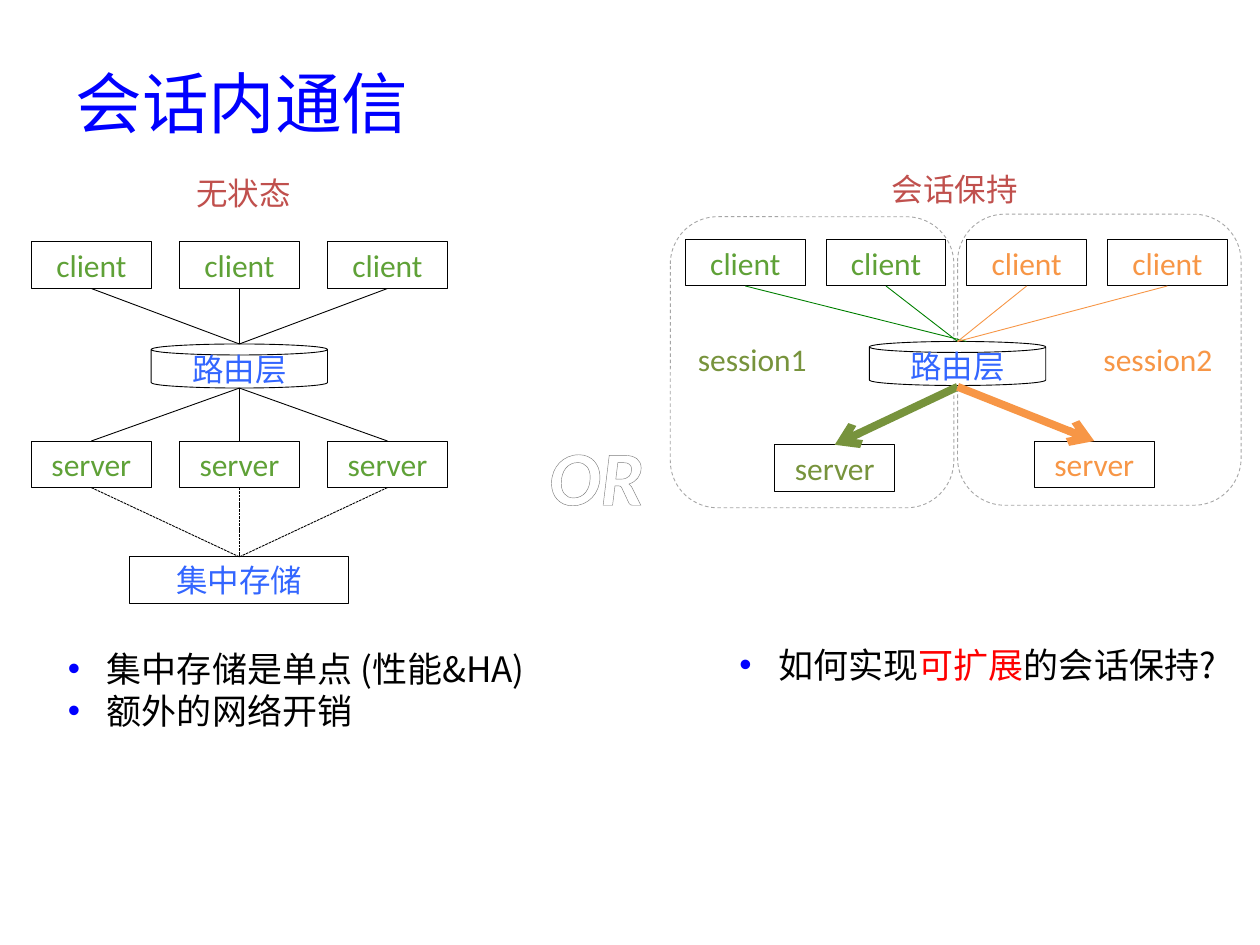
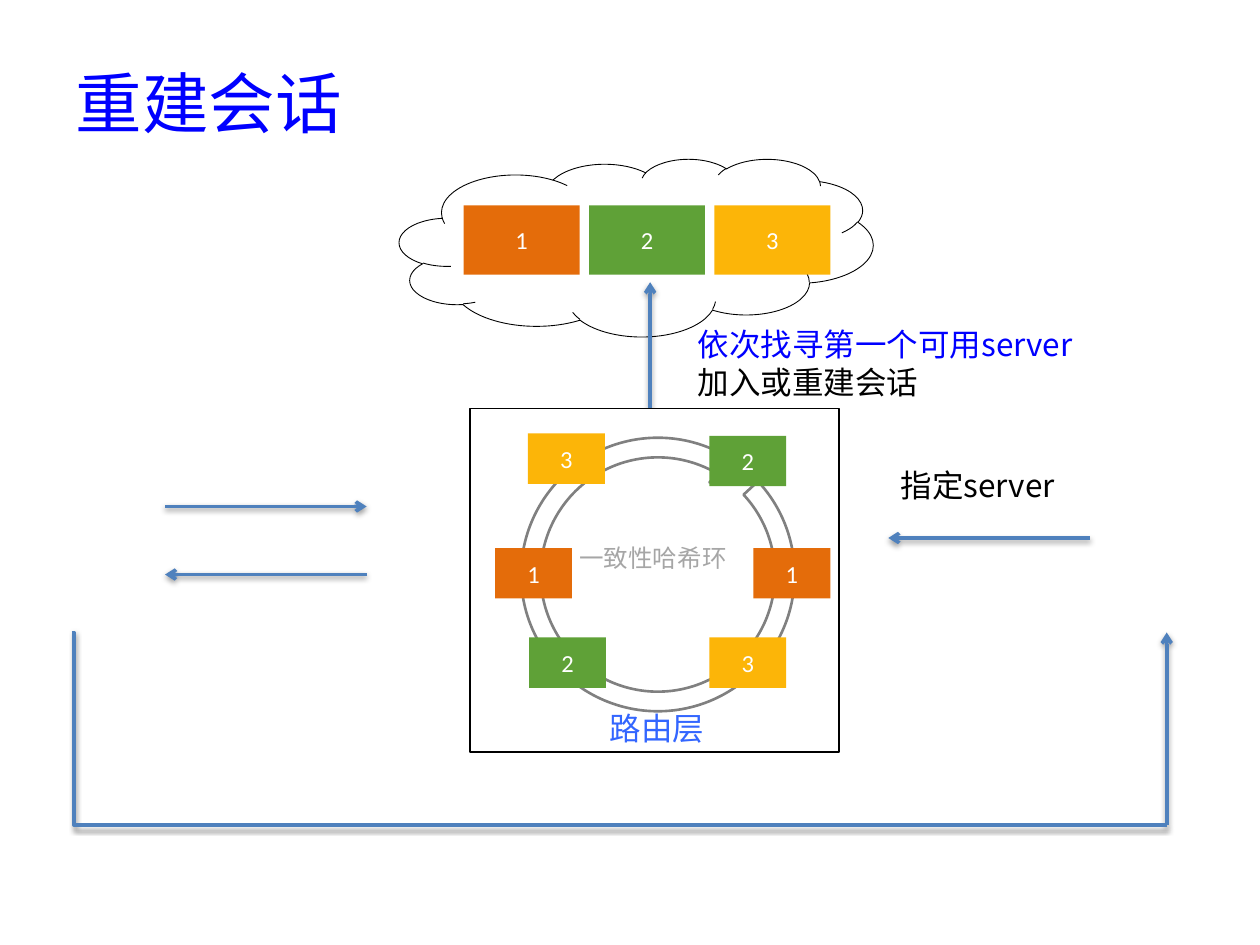
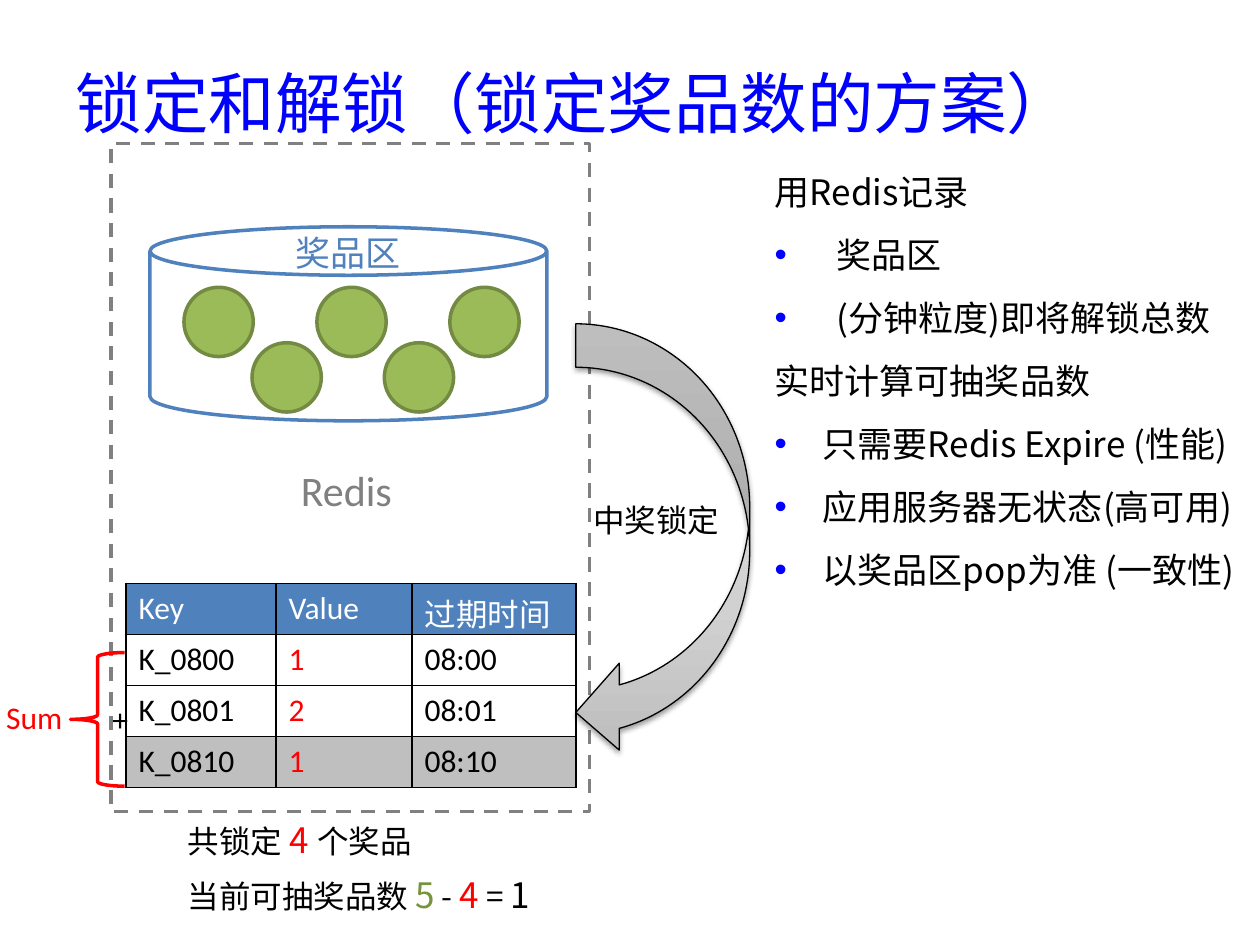
from dataclasses import dataclass

from pptx import Presentation
from pptx.dml.color import RGBColor
from pptx.enum.dml import MSO_LINE
from pptx.enum.shapes import MSO_CONNECTOR, MSO_SHAPE
from pptx.enum.text import MSO_ANCHOR, MSO_AUTO_SIZE, PP_ALIGN
from pptx.oxml import parse_xml
from pptx.oxml.ns import nsdecls, qn
from pptx.util import Emu, Pt

DASH, FINE_DASH = MSO_LINE.DASH, MSO_LINE.SQUARE_DOT
STRAIGHT, ELBOW = MSO_CONNECTOR.STRAIGHT, MSO_CONNECTOR.ELBOW
RECT, ROUNDED, CAN, CLOUD = (MSO_SHAPE.RECTANGLE, MSO_SHAPE.ROUNDED_RECTANGLE,
                             MSO_SHAPE.CAN, MSO_SHAPE.CLOUD)
OVAL, BRACE = MSO_SHAPE.OVAL, MSO_SHAPE.LEFT_BRACE
RING_ARROW, CURVED_ARROW = MSO_SHAPE.CIRCULAR_ARROW, MSO_SHAPE.CURVED_LEFT_ARROW
LEFT, CENTER = PP_ALIGN.LEFT, PP_ALIGN.CENTER
MIDDLE, TOP = MSO_ANCHOR.MIDDLE, MSO_ANCHOR.TOP
FIT_SHAPE, NO_FIT = MSO_AUTO_SIZE.SHAPE_TO_FIT_TEXT, MSO_AUTO_SIZE.NONE
BOTTOM_SITE, TOP_SITE = 2, 0
TITLE_ONLY = 5
EMU_PER_PX = 9144  # 100 px to the inch


@dataclass(frozen=True)
class Theme:
    latin: str = "Calibri"
    chinese: str = "Noto Sans CJK SC"
    title_size: int = 38
    mark_size: int = 44
    store_size: int = 24
    list_size: int = 20
    label_size: int = 18
    small_size: int = 14
    blue: str = "0000FF"
    layer: str = "3366FF"
    steel: str = "4F81BD"
    green: str = "5FA137"
    olive: str = "77933C"
    wire_green: str = "008000"
    orange: str = "F79646"
    deep_orange: str = "E46C0A"
    amber: str = "FCB508"
    brick: str = "C0504D"
    red: str = "FF0000"
    black: str = "000000"
    white: str = "FFFFFF"
    gray: str = "808080"
    pale_gray: str = "A6A6A6"
    row_gray: str = "BFBFBF"
    mark_edge: str = "7D7D7D"
    ball: str = "9BBB59"
    ball_edge: str = "738A42"


THEME = Theme()

# ---- Content ----
STORAGE_NOTES = ["集中存储是单点 (性能&HA)", "额外的网络开销"]
SESSION_NOTE = [["如何实现", ("可扩展", THEME.red), "的会话保持?"]]
# client colour, wire colour, x where the wire meets the routing layer
SESSION_CLIENTS = [(THEME.green, THEME.wire_green, 767),
                   (THEME.green, THEME.wire_green, 760),
                   (THEME.orange, THEME.orange, 760),
                   (THEME.orange, THEME.orange, 760)]
SESSIONS = [  # frame, server position, label, label left, colour
    ((532, 172), (615, 353), "session1", 544, THEME.olive),
    ((760, 170), (821, 350), "session2", 866, THEME.orange)]

NODE_COLORS = {"1": THEME.deep_orange, "2": THEME.green, "3": THEME.amber}
RING_NODES = [("2", 563, 346), ("1", 393, 435), ("3", 563, 506),
              ("1", 598, 435), ("2", 420, 506), ("3", 419, 344)]
FLOW_ARROWS = [((131, 402), (291, 402)), ((516, 370), (516, 224)),
               ((291, 456), (131, 456)), ((865, 427), (705, 427)),
               ((926, 655), (926, 502))]
FIND_STEPS = [[("依次找寻第一个可用server", THEME.blue)], "加入或重建会话"]

PLAN = [("用Redis记录", 0), ("奖品区", 49), ("(分钟粒度)即将解锁总数", 49),
        ("实时计算可抽奖品数", 0), ("只需要Redis Expire (性能)", 38),
        ("应用服务器无状态(高可用)", 38), ("以奖品区pop为准 (一致性)", 38)]
LOCK_TABLE = [("Key", "Value", "过期时间"), ("K_0800", "1", "08:00"),
              ("K_0801", "2", "08:01"), ("K_0810", "1", "08:10")]
LOCK_COLUMNS = (119, 108, 130)
BIG = THEME.list_size
LOCKED_COUNT = [["共锁定", (" ", THEME.black, BIG), ("4 ", THEME.red, BIG), "个奖品"]]
FREE_COUNT = [["当前可抽奖品数 ", ("5", THEME.olive, BIG), " - ",
               ("4", THEME.red, BIG), " = ", ("1", THEME.black, BIG)]]


# ---- Helpers ----
def px(length):
    return Emu(round(length * EMU_PER_PX))


def rgb(color):
    return RGBColor.from_string(color)


def spread(first, last, count):
    return [first + i * (last - first) / (count - 1) for i in range(count)]


def solid_xml(color):
    return f'<a:solidFill><a:srgbClr val="{color}"/></a:solidFill>'


def add_xml(parent, tag, attributes="", inner="", index=None):
    element = parse_xml(f'<a:{tag} {nsdecls("a")} {attributes}>{inner}</a:{tag}>')
    parent.insert(len(parent) if index is None else index, element)
    return element


def add_effects(shape, shadow):
    """Give a shape an explicit effect list, with a soft shadow or empty."""
    properties = shape._element.spPr
    for old in properties.findall(qn("a:effectLst")):
        properties.remove(old)
    inner = ('<a:outerShdw blurRad="40000" dist="20000" dir="5400000" rotWithShape="0">'
             '<a:srgbClr val="000000"><a:alpha val="38000"/></a:srgbClr>'
             '</a:outerShdw>') if shadow else ""
    add_xml(properties, "effectLst", inner=inner)


def fade(fill, holder, stops, angle):
    fill.gradient()
    old = holder.find(qn("a:gradFill"))
    inner = "".join(f'<a:gs pos="{at * 1000}"><a:srgbClr val="{color}"/></a:gs>'
                    for at, color in stops)
    new = add_xml(holder, "gradFill", 'rotWithShape="1"',
                  f'<a:gsLst>{inner}</a:gsLst><a:lin ang="{angle * 60000}" scaled="0"/>')
    holder.replace(old, new)


def outline_text(span, color, width):
    add_xml(span._r.get_or_add_rPr(), "ln", f'w="{Pt(width)}"', solid_xml(color), 0)


def add_bullet(para, indent):
    properties = para._p.get_or_add_pPr()
    properties.set("marL", str(px(indent)))
    properties.set("indent", str(-px(indent)))
    add_xml(properties, "buClr", inner=f'<a:srgbClr val="{THEME.blue}"/>')
    add_xml(properties, "buFont", 'typeface="Arial"')
    add_xml(properties, "buChar", 'char="•"')


def write(frame, paragraphs, size=THEME.label_size, color=THEME.black, align=LEFT,
          indents=(), spacing=None):
    """A paragraph is a string or a list of spans: text, or (text, color[, size])."""
    if isinstance(paragraphs, str):
        paragraphs = [paragraphs]
    rows = [[row] if isinstance(row, str) else row for row in paragraphs]
    rows = [[(span,) if isinstance(span, str) else span for span in row] for row in rows]
    is_latin = all(span[0].isascii() for row in rows for span in row)
    font_name = THEME.latin if is_latin else THEME.chinese
    for i, row in enumerate(rows):
        para = frame.add_paragraph() if i else frame.paragraphs[0]
        if i < len(indents) and indents[i]:
            add_bullet(para, indents[i])
        para.alignment = align
        if spacing:
            para.line_spacing = spacing
        for text, *style in row:
            span = para.add_run()
            span.text = text
            font = span.font
            font.name = font_name
            font.bold = False
            font.color.rgb = rgb(style[0] if style else color)
            font.size = Pt(style[1] if len(style) > 1 else size)
            add_xml(span._r.get_or_add_rPr(), "ea", f'typeface="{font_name}"')


def add_text(page, at, paragraphs, **style):
    box = page.shapes.add_textbox(*map(px, at))
    frame = box.text_frame
    frame.word_wrap = True
    frame.auto_size = FIT_SHAPE
    frame.vertical_anchor = TOP
    write(frame, paragraphs, **style)
    return box


def style_line(line, color, width, dash=None):
    line.color.rgb = rgb(color)
    line.width = Pt(width)
    if dash:
        line.dash_style = dash


def add_box(page, kind, at, fill=None, line=None, text="", margin=None, shadow=False, **style):
    box = page.shapes.add_shape(kind, *map(px, at))
    if fill:
        box.fill.solid()
        box.fill.fore_color.rgb = rgb(fill)
    else:
        box.fill.background()
    if line:
        style_line(box.line, *line)
    else:
        box.line.fill.background()
    add_effects(box, shadow)
    if text:
        frame = box.text_frame
        frame.vertical_anchor = MIDDLE
        if margin is not None:
            frame.margin_left = frame.margin_right = px(margin)
            frame.margin_top = frame.margin_bottom = px(margin)
        write(frame, text, align=CENTER, **style)
    return box


def link(page, start, end, line, arrow=False, shadow=False, kind=STRAIGHT):
    """Join two ends; each is a point, or a box joined at its facing side."""
    points = [end_point if isinstance(end_point, tuple) else (0, 0)
              for end_point in (start, end)]
    wire = page.shapes.add_connector(kind, *map(px, points[0] + points[1]))
    if not isinstance(start, tuple):
        wire.begin_connect(start, BOTTOM_SITE)
    if not isinstance(end, tuple):
        wire.end_connect(end, TOP_SITE)
    style_line(wire.line, *line)
    if arrow:
        add_xml(wire.line._get_or_add_ln(), "tailEnd", 'type="arrow"')
    add_effects(wire, shadow)
    return wire


def add_page(deck, title):
    page = deck.slides.add_slide(deck.slide_layouts[TITLE_ONLY])
    box = page.shapes.title
    box.left, box.top, box.width, box.height = map(px, (50, 47, 900, 68))
    box.text_frame.vertical_anchor = MIDDLE
    box.text_frame.auto_size = NO_FIT
    write(box.text_frame, title, size=THEME.title_size, color=THEME.blue)
    return page


# ---- Slide 1 ----
THIN = (THEME.black, 0.5)


def add_unit(page, left, top, text, color, width=95):
    return add_box(page, RECT, (left, top, width, 37), THEME.white, THIN, text, color=color)


def add_layer(page, left, top):
    add_box(page, CAN, (left, top, 140, 35), THEME.white, THIN, "路由层", color=THEME.layer)


def build_stateless(page):
    add_layer(page, 120, 273)
    columns = spread(25, 260, 3)
    servers = [add_unit(page, left, 350, "server", THEME.green) for left in columns]
    storage = add_unit(page, 103, 442, "集中存储", THEME.layer, width=174)
    clients = [add_unit(page, left, 192, "client", THEME.green) for left in columns]
    for client, server in zip(clients, servers):
        link(page, client, (190, 273), THIN)
        link(page, (190, 308), server, THIN)
        link(page, server, storage, THIN + (FINE_DASH,))
    add_text(page, (146, 133, 105, 40), "无状态", color=THEME.brick)
    add_text(page, (44, 509, 408, 77), STORAGE_NOTES, size=THEME.list_size, indents=(31, 31))


def build_sticky(page):
    for corner, *_ in SESSIONS:
        add_box(page, ROUNDED, corner + (225, 231), line=(THEME.pale_gray, 0.5, DASH))
    add_layer(page, 690, 271)
    lefts = spread(544, 879, len(SESSION_CLIENTS))
    for left, (color, wire_color, meet) in zip(lefts, SESSION_CLIENTS):
        client = add_unit(page, left, 190, "client", color)
        link(page, client, (meet, 271), (wire_color, 0.5))
    for _, position, label, label_left, color in SESSIONS:
        server = add_unit(page, *position, "server", color)
        link(page, (760, 307), server, (color, 4.5), arrow=True)
        add_text(page, (label_left, 265, 120, 40), label, color=color)
    add_text(page, (698, 130, 123, 40), "会话保持", color=THEME.brick)
    add_text(page, (577, 506, 408, 44), SESSION_NOTE, size=THEME.list_size, indents=(31,))


def build_communication(deck):
    page = add_page(deck, "会话内通信")
    build_stateless(page)
    build_sticky(page)
    mark = add_text(page, (426, 335, 164, 84), "OR", size=THEME.mark_size)
    span = mark.text_frame.paragraphs[0].runs[0]
    span.font.bold = span.font.italic = True
    fade(span.font.fill, span._r.get_or_add_rPr(),
         [(0, "FFFFFF"), (9, "FFFFFF"), (50, "7F7F7F"), (79, "FFFFFF"), (100, "FFFFFF")], 90)
    outline_text(span, THEME.mark_edge, 0.83)


# ---- Slide 2 ----
def add_node(page, number, at):
    add_box(page, RECT, at, NODE_COLORS[number], text=number, margin=0,
            size=THEME.small_size, color=THEME.white)


def build_rebuild(deck):
    page = add_page(deck, "重建会话")
    add_box(page, CLOUD, (317, 126, 376, 141), line=THIN)
    flow = (THEME.steel, 2)
    for start, end in FLOW_ARROWS:
        link(page, start, end, flow, arrow=True, shadow=True)
    route = link(page, (57, 502), (926, 655), flow, shadow=True, kind=ELBOW)
    shape_values = route._element.spPr.find(qn("a:prstGeom")).get_or_add_avLst()
    add_xml(shape_values, "gd", 'name="adj1" fmla="val 200"')
    add_text(page, (705, 365, 199, 40), "指定server")
    add_text(page, (544, 253, 359, 71), FIND_STEPS)

    # Hash ring inside the routing layer
    add_box(page, RECT, (373, 324, 293, 273), THEME.white, (THEME.black, 0.75))
    ring = add_box(page, RING_ARROW, (404, 338, 236, 236), THEME.white, (THEME.gray, 1.5))
    ring.rotation = 101.9
    for i, value in enumerate((0.066, 5.74, 119.61, 129.1, 0.073)):
        ring.adjustments[i] = value
    add_text(page, (474, 558, 102, 40), "路由层", color=THEME.layer)
    add_text(page, (450, 426, 173, 34), "一致性哈希环",
             size=THEME.small_size, color=THEME.pale_gray)
    for number, left, top in RING_NODES:
        add_node(page, number, (left, top, 61, 40))
    for number, left in zip(NODE_COLORS, spread(368, 567, len(NODE_COLORS))):
        add_node(page, number, (left, 163, 92, 55))


# ---- Slide 3 ----
def add_lock_table(page):
    frame = page.shapes.add_table(len(LOCK_TABLE), len(LOCK_COLUMNS),
                                  *map(px, (100, 463, sum(LOCK_COLUMNS), 162)))
    table = frame.table
    table.first_row = table.horz_banding = False
    for column, width in zip(table.columns, LOCK_COLUMNS):
        column.width = px(width)
    row_fills = {0: THEME.steel, len(LOCK_TABLE) - 1: THEME.row_gray}
    for i, row in enumerate(LOCK_TABLE):
        for j, text in enumerate(row):
            cell = table.cell(i, j)
            color = THEME.white if i == 0 else THEME.red if j == 1 else THEME.black
            write(cell.text_frame, text, color=color)
            for side in ("lnL", "lnR", "lnT", "lnB"):
                add_xml(cell._tc.get_or_add_tcPr(), side, f'w="{Pt(1)}"',
                        solid_xml(THEME.black))
            if i in row_fills:
                cell.fill.solid()
                cell.fill.fore_color.rgb = rgb(row_fills[i])
            else:
                cell.fill.background()


def build_locking(deck):
    page = add_page(deck, "锁定和解锁（锁定奖品数的方案）")
    add_box(page, RECT, (88, 114, 380, 530), line=(THEME.gray, 2, DASH))

    # Prize pool
    balls = [(left, 228) for left in spread(146, 357, 3)]
    balls += [(left, 272) for left in spread(200, 305, 2)]
    for left, top in balls:
        add_box(page, OVAL, (left, top, 55, 55), THEME.ball, (THEME.ball_edge, 2))
    add_box(page, CAN, (119, 180, 315, 154), line=(THEME.steel, 2))
    add_text(page, (225, 179, 128, 44), "奖品区", size=THEME.list_size, color=THEME.steel)
    add_text(page, (229, 364, 107, 50), "Redis", size=THEME.store_size, color=THEME.gray)

    # Lock arrow and plan
    arrow = add_box(page, CURVED_ARROW, (457, 257, 138, 343),
                    line=(THEME.black, 0.75), shadow=True)
    fade(arrow.fill, arrow._element.spPr,
         [(0, "BDBDBD"), (35, "D1D1D1"), (100, "EEEEEE")], 270)
    add_text(page, (461, 393, 134, 40), "中奖锁定")
    add_text(page, (605, 114, 404, 464), [text for text, _ in PLAN], size=THEME.list_size,
             indents=[indent for _, indent in PLAN], spacing=1.5)

    # Locked prizes and their sum
    add_lock_table(page)
    brace = add_box(page, BRACE, (56, 518, 43, 106), line=(THEME.red, 2), text="+")
    outline_text(brace.text_frame.paragraphs[0].runs[0], THEME.black, 0.75)
    add_text(page, (-5, 549, 65, 40), "Sum", color=THEME.red)
    add_text(page, (139, 645, 221, 44), LOCKED_COUNT)
    add_text(page, (139, 688, 346, 44), FREE_COUNT)


def main():
    deck = Presentation()
    deck.slide_width, deck.slide_height = px(1000), px(750)
    build_communication(deck)
    build_rebuild(deck)
    build_locking(deck)
    deck.save("out.pptx")


if __name__ == "__main__":
    main()
